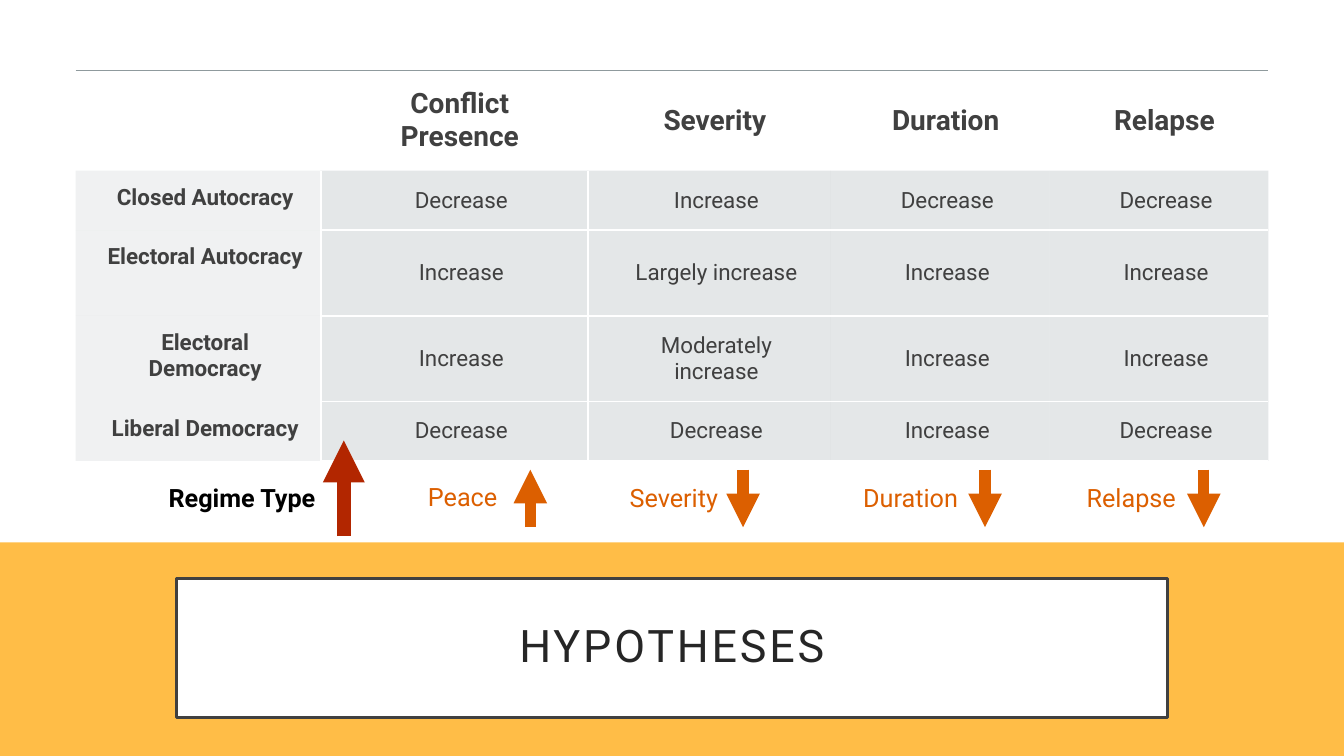
from lxml import etree
from pptx import Presentation
from pptx import util as u
from pptx.dml.color import RGBColor
from pptx.enum import shapes, text
from pptx.oxml.ns import qn

FONT = "Roboto"
NO_STYLE = "{2D5ABB26-0587-4C30-8999-92F81FD0307C}"
COLORS = {
    "amber": "FFBD47",
    "white": "FFFFFF",
    "black": "000000",
    "frame": "404040",
    "title": "262626",
    "body": "404040",
    "rule": "8F9A9D",
    "cell": "B4BCBE",
    "red": "B22600",
    "orange": "DC5F00",
}
COLUMN_WIDTHS = [2.43, 2.65, 2.41, 2.17, 2.17]
ROW_HEIGHTS = [0.71, 0.59, 0.85, 0.85, 0.59]
HYPOTHESES = [
    ["", "Conflict Presence", "Severity", "Duration", "Relapse"],
    ["Closed Autocracy", "Decrease", "Increase", "Decrease", "Decrease"],
    ["Electoral Autocracy", "Increase", "Largely increase", "Increase", "Increase"],
    ["Electoral Democracy", "Increase", "Moderately increase", "Increase", "Increase"],
    ["Liberal Democracy", "Decrease", "Decrease", "Increase", "Decrease"],
]
ARROW_TOP, ARROW_BOTTOM = 4.66, 5.23
OUTCOMES = [
    ("Peace", 3.54, 4.73, 5.26, True),
    ("Severity", 5.73, 4.74, 7.37, False),
    ("Duration", 8.11, 4.74, 9.77, False),
    ("Relapse", 10.27, 4.74, 11.94, False),
]


def rgb(name):
    return RGBColor.from_string(COLORS[name])


def inches(*lengths):
    return [u.Inches(length) for length in lengths]


def format_paragraph(paragraph, size, color, bold=False, align=text.PP_ALIGN.CENTER):
    paragraph.alignment = align
    font = paragraph.font
    font.name, font.size, font.bold = FONT, u.Pt(size), bold
    font.color.rgb = rgb(color)


def set_margins(target, left, top, right, bottom):
    target.margin_left, target.margin_top = inches(left, top)
    target.margin_right, target.margin_bottom = inches(right, bottom)


def add_alpha(parent, percent):
    color = next(parent.iter(qn("a:srgbClr")))
    etree.SubElement(color, qn("a:alpha"), val=str(percent * 1000))


def add_band(slide):
    band = slide.shapes.add_shape(
        shapes.MSO_SHAPE.RECTANGLE, *inches(0, 5.38, 13.33, 2.12))
    band.shadow.inherit = False
    band.fill.solid()
    band.fill.fore_color.rgb = rgb("amber")
    band.line.fill.background()
    return band


def format_title(title):
    title.left, title.top, title.width, title.height = inches(1.75, 5.74, 9.83, 1.38)
    title.fill.solid()
    title.fill.fore_color.rgb = rgb("white")
    title.line.color.rgb = rgb("frame")
    title.line.width = u.Pt(2.5)
    frame = title.text_frame
    frame.text = "HYPOTHESES"
    frame.vertical_anchor = text.MSO_ANCHOR.MIDDLE
    set_margins(frame, 0.3, 0.2, 0.3, 0.2)
    paragraph = frame.paragraphs[0]
    format_paragraph(paragraph, 32, "title")
    paragraph.line_spacing = 0.9
    paragraph.runs[0].font._element.set("spc", "200")


def add_border(cell, side, color, alpha=100):
    properties = cell._tc.get_or_add_tcPr()
    line = etree.SubElement(properties, qn(f"a:ln{side}"), w=str(u.Pt(1.5)))
    fill = etree.SubElement(line, qn("a:solidFill"))
    etree.SubElement(fill, qn("a:srgbClr"), val=COLORS[color])
    add_alpha(fill, alpha)


def format_cell(cell, row, column):
    is_header, is_regime = row == 0, column == 0
    margin = 0.17 if is_header else 0.14
    set_margins(cell, 0.28, margin, margin, margin)
    top_aligned = is_regime and not is_header
    cell.vertical_anchor = text.MSO_ANCHOR.TOP if top_aligned else text.MSO_ANCHOR.MIDDLE
    format_paragraph(cell.text_frame.paragraphs[0], 20 if is_header else 16,
                     "body", is_header or is_regime)
    if is_header:
        add_border(cell, "T", "rule", 60)
        cell.fill.background()
        return
    if is_regime:
        sides = "R"
    else:
        sides = ("L" if column == 1 else "") + ("T" if row > 1 else "") + "B"
    for side in sides:
        add_border(cell, side, "white")
    cell.fill.solid()
    cell.fill.fore_color.rgb = rgb("cell")
    add_alpha(cell._tc.tcPr.find(qn("a:solidFill")), 20 if is_regime else 35)


def add_hypothesis_table(slide):
    graphic_frame = slide.shapes.add_table(
        len(ROW_HEIGHTS), len(COLUMN_WIDTHS), *inches(0.75, 0.7, 11.83, 3.61))
    table = graphic_frame.table
    table.first_row = table.horz_banding = False
    next(graphic_frame._element.iter(qn("a:tableStyleId"))).text = NO_STYLE
    for column, width in zip(table.columns, COLUMN_WIDTHS):
        column.width = u.Inches(width)
    for row, height in zip(table.rows, ROW_HEIGHTS):
        row.height = u.Inches(height)
    for row, values in enumerate(HYPOTHESES):
        for column, value in enumerate(values):
            cell = table.cell(row, column)
            cell.text = value
            format_cell(cell, row, column)


def add_arrow(group, x, start, end, color, width):
    arrow = group.shapes.add_connector(
        shapes.MSO_CONNECTOR.STRAIGHT, *inches(x, start, x, end))
    arrow.line.color.rgb = rgb(color)
    arrow.line.width = u.Pt(width)
    etree.SubElement(arrow.line._get_or_add_ln(), qn("a:tailEnd"), type="triangle")
    etree.SubElement(arrow._element.spPr, qn("a:effectLst"))


def add_label(group, wording, left, top, width, color, bold, align):
    label = group.shapes.add_textbox(*inches(left, top, width, 0.4))
    frame = label.text_frame
    frame.word_wrap = True
    frame.auto_size = text.MSO_AUTO_SIZE.SHAPE_TO_FIT_TEXT
    frame.text = wording
    format_paragraph(frame.paragraphs[0], 18, color, bold, align)


def add_expectations(slide):
    group = slide.shapes.add_group_shape()
    add_arrow(group, 3.41, 5.32, 4.37, "red", 10)
    add_label(group, "Regime Type", 1.39, 4.74, 2.02, "black", True,
              text.PP_ALIGN.CENTER)
    for wording, left, top, arrow_x, rises in OUTCOMES:
        start, end = (ARROW_BOTTOM, ARROW_TOP) if rises else (ARROW_TOP, ARROW_BOTTOM)
        add_arrow(group, arrow_x, start, end, "orange", 8)
        add_label(group, wording, left, top, 1.49, "orange", False,
                  text.PP_ALIGN.RIGHT)


def main():
    presentation = Presentation()
    presentation.slide_width, presentation.slide_height = inches(13.33, 7.5)
    slide = presentation.slides.add_slide(presentation.slide_layouts[5])
    title = slide.shapes.title
    band = add_band(slide)
    title._element.addprevious(band._element)
    format_title(title)
    add_hypothesis_table(slide)
    add_expectations(slide)
    presentation.save("out.pptx")


if __name__ == "__main__":
    main()
